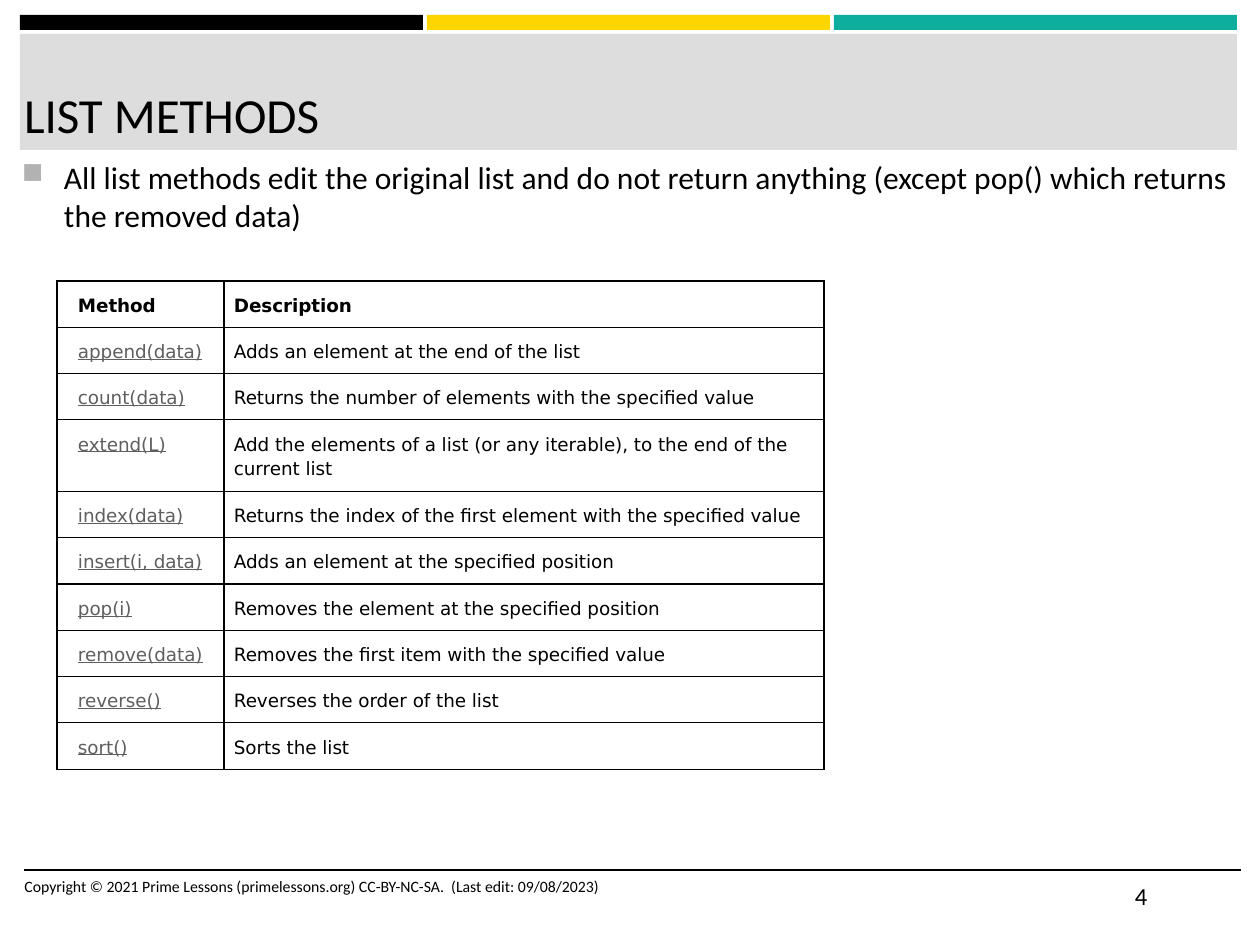
from lxml.etree import SubElement as Sub
from pptx import Presentation
from pptx.dml.color import RGBColor as Rgb
from pptx.enum.shapes import MSO_CONNECTOR as Conn, MSO_SHAPE as Shape
from pptx.enum.text import MSO_ANCHOR as Anchor, PP_ALIGN as Align
from pptx.oxml.ns import qn
from pptx.util import Pt


class Theme:
    black = Rgb.from_string("000000")
    gold = Rgb.from_string("FFD500")
    teal = Rgb.from_string("0EAE9F")
    band = Rgb.from_string("DDDDDD")
    white = Rgb.from_string("FFFFFF")
    link = Rgb.from_string("5F5F5F")
    mark = "B2B2B2"
    sans = "Calibri"
    cell = "DejaVu Sans"
    title = Pt(28)
    body = Pt(18)
    page = Pt(14)
    small = Pt(9)
    grid = Pt(10.5)
    rule = Pt(1)
    edge = Pt(0.75)


def px(*nums):
    return [round(n * 914400 / 126) for n in nums]


def write(frame, text, form, font, color=Theme.black):
    for key, val in form.items():
        setattr(frame, key, val)
    para = frame.paragraphs[0]
    para.alignment = Align.LEFT
    run = para.add_run()
    run.text = text
    for key, val in font.items():
        setattr(run.font, key, val)
    run.font.color.rgb = color
    return para


deck = Presentation()
deck.slide_width, deck.slide_height = px(1260, 945)
slide = deck.slides.add_slide(deck.slide_layouts[5])
shapes = slide.shapes
flush = dict.fromkeys(
    ("margin_left", "margin_top", "margin_right", "margin_bottom"), 0)
flush["word_wrap"] = True

bars = [(20 + 407 * i, 15, 403, 15, color)
        for i, color in enumerate((Theme.black, Theme.gold, Theme.teal))]
for *box, color in bars + [(20, 34, 1217, 116, Theme.band)]:
    bar = shapes.add_shape(Shape.RECTANGLE, *px(*box))
    bar.shadow.inherit = False
    bar.fill.solid()
    bar.fill.fore_color.rgb = color
    bar.line.fill.background()

rule = shapes.add_connector(Conn.STRAIGHT, *px(24, 870, 1241, 870))
rule.line.color.rgb = Theme.black
rule.line.width = Theme.rule
Sub(rule._element.spPr, qn("a:effectLst"))

title = shapes.title
title.left, title.top, title.width, title.height = px(24, 40, 1206, 103)
shapes._spTree.append(title._element)
write(title.text_frame, "LIST METHODS",
      {**flush, "vertical_anchor": Anchor.BOTTOM},
      {"name": Theme.sans, "size": Theme.title})

body = shapes.add_textbox(*px(22, 158, 1217, 700))
para = write(
    body.text_frame,
    "All list methods edit the original list and do not return anything "
    "(except pop() which returns the removed data)",
    flush, {"name": Theme.sans, "size": Theme.body})
para.space_after = Pt(6)
props = para._p.get_or_add_pPr()
dent = px(42)[0]
props.set("marL", str(dent))
props.set("indent", str(-dent))
Sub(Sub(props, qn("a:buClr")), qn("a:srgbClr"), val=Theme.mark)
Sub(props, qn("a:buSzPct"), val="92000")
Sub(props, qn("a:buChar"), char="■")

page = shapes.add_textbox(*px(1135, 871, 106, 50))
write(page.text_frame, "4", {**flush, "vertical_anchor": Anchor.MIDDLE},
      {"name": Theme.sans, "size": Theme.page})

rows = [
    ("Method", "Description"),
    ("append(data)", "Adds an element at the end of the list"),
    ("count(data)", "Returns the number of elements with the specified value"),
    ("extend(L)", "Add the elements of a list (or any iterable), "
                  "to the end of the current list"),
    ("index(data)",
     "Returns the index of the first element with the specified value"),
    ("insert(i, data)", "Adds an element at the specified position"),
    ("pop(i)", "Removes the element at the specified position"),
    ("remove(data)", "Removes the first item with the specified value"),
    ("reverse()", "Reverses the order of the list"),
    ("sort()", "Sorts the list"),
]
table = shapes.add_table(
    len(rows), 2, *px(57, 281, 767, 42 * len(rows))).table
table.first_row = table.horz_banding = False
for col, wide in zip(table.columns, px(167, 600)):
    col.width = wide

for r, row in enumerate(rows):
    for c, text in enumerate(row):
        cell = table.cell(r, c)
        pads = px(10 if c else 21, 11, 10, 10)
        for side, pad in zip(("left", "top", "right", "bottom"), pads):
            setattr(cell, "margin_" + side, pad)
        link = r > 0 and c == 0
        font = {"name": Theme.cell, "size": Theme.grid,
                "bold": r == 0, "underline": link}
        para = write(cell.text_frame, text, {}, font,
                     Theme.link if link else Theme.black)
        para.line_spacing = 1.15
        props = cell._tc.get_or_add_tcPr()
        for side in "LRTB":
            edge = Sub(props, qn("a:ln" + side), w=str(Theme.edge))
            fill = Sub(edge, qn("a:solidFill"))
            Sub(fill, qn("a:srgbClr"), val=str(Theme.black))
        cell.fill.solid()
        cell.fill.fore_color.rgb = Theme.white

foot = shapes.add_textbox(*px(12, 871, 672, 50))
write(foot.text_frame,
      "Copyright © 2021 Prime Lessons (primelessons.org) CC-BY-NC-SA.  "
      "(Last edit: 09/08/2023)",
      {"word_wrap": True}, {"name": Theme.sans, "size": Theme.small})

deck.save("out.pptx")
